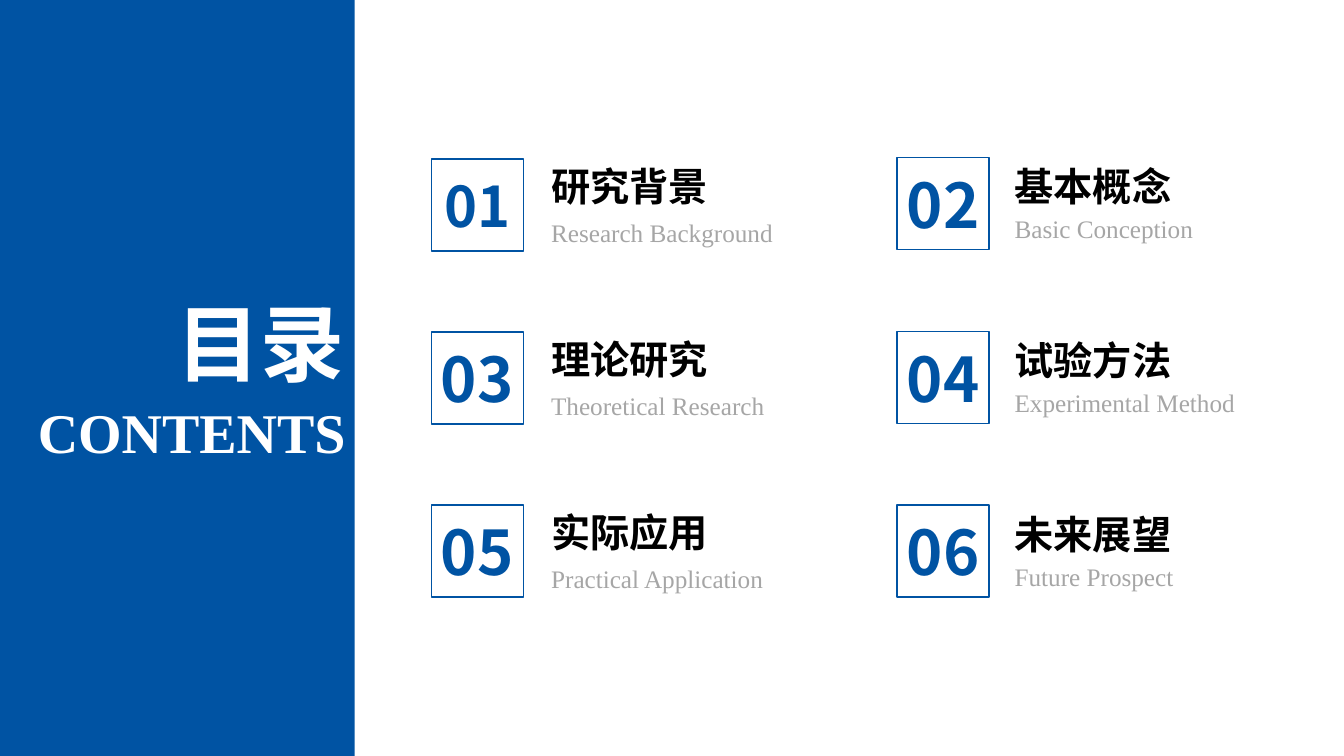
import pptx
import pptx.dml.color
import pptx.enum.shapes
import pptx.enum.text
import pptx.oxml
import pptx.oxml.ns
import pptx.util

Cm = pptx.util.Cm
ALIGN = pptx.enum.text.PP_ALIGN
ANCHOR = pptx.enum.text.MSO_ANCHOR
RECT = pptx.enum.shapes.MSO_SHAPE.RECTANGLE
HEX = {"blue": "0053A3", "white": "FFFFFF", "black": "000000", "grey": "A6A6A6"}
SANS, SERIF = "Noto Sans CJK SC", "Times New Roman"
SIDE = 2.32

# left, top, row pitch, then offsets of the text: across, heading down, subtitle down
COLS = [(10.87, 4.01, 4.36, 2.77, -0.04, 1.33),
        (22.61, 3.97, 4.38, 2.71, 0, 1.29)]
ITEMS = [("研究背景", "Research Background"), ("基本概念", "Basic Conception"),
         ("理论研究", "Theoretical Research"), ("试验方法", "Experimental Method"),
         ("实际应用", "Practical Application"), ("未来展望", "Future Prospect")]


def color(name):
    return pptx.dml.color.RGBColor.from_string(HEX[name])


def write(shape, text, size, font, ink, bold=True, align=ALIGN.LEFT, anchor=ANCHOR.TOP):
    frame = shape.text_frame
    frame.text = text
    frame.word_wrap = True
    frame.auto_size = pptx.enum.text.MSO_AUTO_SIZE.NONE
    frame.vertical_anchor = anchor
    para = frame.paragraphs[0]
    para.alignment = align
    face = para.runs[0].font
    face.size, face.bold, face.name = pptx.util.Pt(size), bold, font
    face.color.rgb = color(ink)
    # The East Asian typeface has no public property
    east = pptx.oxml.parse_xml(f'<a:ea {pptx.oxml.ns.nsdecls("a")} typeface="{font}"/>')
    para.runs[0]._r.rPr.find(pptx.oxml.ns.qn("a:latin")).addnext(east)


def label(slide, x, y, w, h, *args, **style):
    box = slide.shapes.add_textbox(Cm(x), Cm(y), Cm(w), Cm(h))
    write(box, *args, **style)


def panel(slide, x, y, w, h):
    """Draw the blue side panel with the title and its subtitle."""
    back = slide.shapes.add_shape(RECT, Cm(x), Cm(y), Cm(w), Cm(h))
    back.shadow.inherit = False
    back.fill.solid()
    back.fill.fore_color.rgb = color("blue")
    back.line.fill.background()
    title = slide.shapes.title
    title.left, title.top = Cm(x + 2.49), Cm(y + 7.21)
    title.width, title.height = Cm(w - 2.49), Cm(2.82)
    write(title, "目录", 60, SANS, "white", align=ALIGN.RIGHT)
    back._element.addnext(title._element)
    label(slide, x, y + 9.88, w + 0.02, 1.96, "CONTENTS", 40, SERIF, "white",
          align=ALIGN.RIGHT)


def entry(slide, num, x, y, across, head, sub):
    """Draw a numbered square with a heading and subtitle beside it."""
    square = slide.shapes.add_shape(RECT, Cm(x), Cm(y), Cm(SIDE), Cm(SIDE))
    square.shadow.inherit = False
    square.fill.background()
    square.line.color.rgb = color("blue")
    square.line.width = pptx.util.Pt(1)
    frame = square.text_frame
    frame.margin_left = frame.margin_right = frame.margin_top = frame.margin_bottom = 0
    write(square, f"{num:02}", 40 if num == 1 else 44, SANS, "blue",
          align=ALIGN.CENTER, anchor=ANCHOR.MIDDLE)
    topic, gloss = ITEMS[num - 1]
    label(slide, x + across, y + head, 6.65, 1.45, topic, 28, SANS, "black")
    label(slide, x + across, y + sub, 6.65, 1.02, gloss, 18, SERIF, "grey", bold=False)


def main():
    deck = pptx.Presentation()
    deck.slide_width, deck.slide_height = Cm(33.87), Cm(19.05)
    slide = deck.slides.add_slide(deck.slide_layouts[5])
    panel(slide, 0, 0, 8.94, 19.05)
    for i in range(len(ITEMS)):
        row, col = divmod(i, 2)
        x, top, pitch, *shifts = COLS[col]
        entry(slide, i + 1, x, top + row * pitch, *shifts)
    deck.save("out.pptx")


if __name__ == "__main__":
    main()
